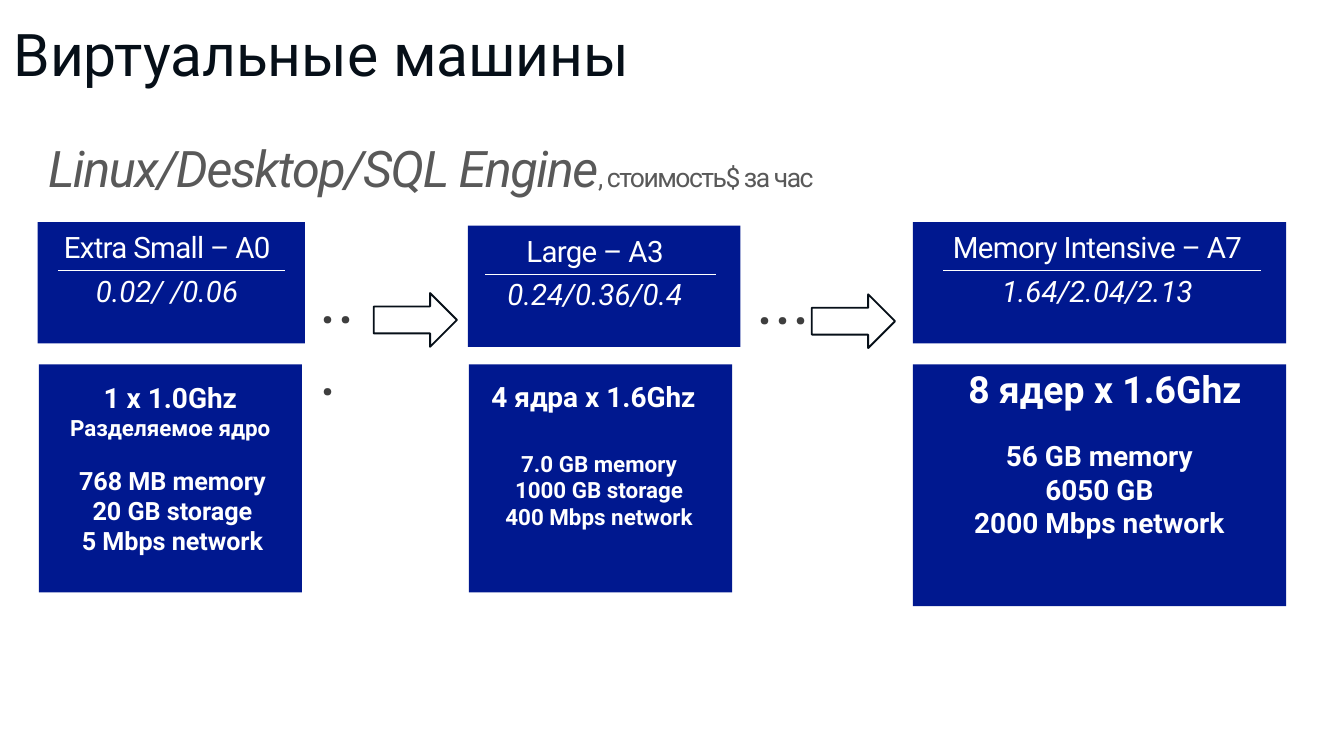
from lxml.etree import SubElement
from pptx import Presentation
from pptx.dml.color import RGBColor
from pptx.enum.shapes import MSO_CONNECTOR, MSO_SHAPE
from pptx.enum.text import MSO_ANCHOR, MSO_AUTO_SIZE, PP_ALIGN
from pptx.oxml.ns import qn
from pptx.util import Pt

FONT = "Roboto"
COLORS = {
    "title": "060F18",
    "card": "00188F",
    "white": "FFFFFF",
    "subtitle": "595959",
    "dots": "3E3E3E",
}


def color(key):
    return RGBColor.from_string(COLORS[key])


def write(frame, lines, ink="white", size=15, bold=False, italic=False, spacing=0,
          align=PP_ALIGN.CENTER, anchor=MSO_ANCHOR.MIDDLE, leading=None, insets=(0, 0, 0, 0)):
    frame.word_wrap = True
    frame.auto_size = MSO_AUTO_SIZE.NONE
    frame.vertical_anchor = anchor
    (frame.margin_left, frame.margin_top,
     frame.margin_right, frame.margin_bottom) = map(Pt, insets)
    for index, line in enumerate(lines):
        paragraph = frame.add_paragraph() if index else frame.paragraphs[0]
        paragraph.alignment = align
        paragraph.line_spacing = leading
        paragraph.space_before = Pt(0)
        for words, changes in [(line, {})] if isinstance(line, str) else line:
            run = paragraph.add_run()
            run.text = words
            run.font.name = FONT
            run.font.size = Pt(changes.get("size", size))
            run.font.bold = bold
            run.font.italic = changes.get("italic", italic)
            run.font.color.rgb = color(ink)
            if spacing:
                run.font._element.set("spc", str(round(spacing * 100)))


def add_text(slide, box, lines, **style):
    write(slide.shapes.add_textbox(*map(Pt, box)).text_frame, lines, **style)


def add_panel(slide, box):
    panel = slide.shapes.add_shape(MSO_SHAPE.ROUNDED_RECTANGLE, *map(Pt, box))
    panel.adjustments[0] = 0
    panel.shadow.inherit = False
    panel.fill.solid()
    panel.fill.fore_color.rgb = color("card")
    panel.line.fill.background()


def add_price_card(slide, box, name, price, center, rule):
    left, top, width, height = box
    text_left = center - width / 2
    add_panel(slide, box)
    add_text(slide, (text_left, top - 4.7, width, 32), [name], size=15.8, spacing=-0.4,
             leading=0.9, anchor=MSO_ANCHOR.TOP, insets=(0, 10.8, 0, 3.6))
    add_text(slide, (text_left, top + 21.5, width, 30), [price], size=15.8, italic=True)
    start, length = rule
    divider = slide.shapes.add_connector(
        MSO_CONNECTOR.STRAIGHT, Pt(start), Pt(top + 26), Pt(start + length), Pt(top + 26))
    divider.line.color.rgb = color("white")
    divider.line.width = Pt(0.5)
    SubElement(divider._element.spPr, qn("a:effectLst"))


def add_spec_card(slide, box, cores, specs):
    left, top, width, height = box
    add_panel(slide, box)
    for lines, size, center, middle in (cores, specs):
        add_text(slide, (center - width / 2, top + middle - 30, width, 60), lines,
                 size=size, bold=True)


def add_step(slide, box, dots_width, arrow_left):
    left, top, width, height = box
    add_text(slide, (left, top - 11, dots_width, 40), ["..."], ink="dots", size=36,
             align=PP_ALIGN.LEFT, anchor=MSO_ANCHOR.TOP, leading=0.9)
    arrow = slide.shapes.add_shape(
        MSO_SHAPE.RIGHT_ARROW, Pt(arrow_left), Pt(top + 4), Pt(44.6), Pt(height))
    arrow.shadow.inherit = False
    arrow.fill.solid()
    arrow.fill.fore_color.rgb = color("white")
    arrow.line.color.rgb = color("title")
    arrow.line.width = Pt(1)


def add_heading(slide, box):
    left, top, width, height = box
    title = slide.shapes.title
    title.left, title.top, title.width, title.height = map(Pt, (left, top, width, 44.6))
    write(title.text_frame, ["Виртуальные машины"], ink="title", size=31.5, leading=0.9,
          align=PP_ALIGN.LEFT, insets=(2.9, 3.6, 2.9, 3.6))
    subtitle = [("Linux/Desktop/SQL Engine", {}),
                (", стоимость$ за час", {"size": 14.2, "italic": False})]
    add_text(slide, (left + 16.5, top + 57.6, 470, 43.2), [subtitle], ink="subtitle", size=27,
             italic=True, spacing=-0.8, leading=0.9, align=PP_ALIGN.LEFT,
             anchor=MSO_ANCHOR.TOP, insets=(5, 10.8, 5, 2.9))


def main():
    presentation = Presentation()
    presentation.slide_width, presentation.slide_height = Pt(720), Pt(405)
    slide = presentation.slides.add_slide(presentation.slide_layouts[5])

    add_heading(slide, (4.3, 8.6, 658, 101))

    add_price_card(slide, (20.2, 119, 143.2, 65), "Extra Small – A0", "0.02/ /0.06",
                   89.6, (31, 121.7))
    add_price_card(slide, (250.6, 120.8, 146, 65), "Large – A3", "0.24/0.36/0.4",
                   318.8, (260, 123.8))
    add_price_card(slide, (489, 119, 200, 65), "Memory Intensive – A7", "1.64/2.04/2.13",
                   588, (505.4, 170))

    shared_core = [("Разделяемое ядро", {"size": 12})]
    add_spec_card(slide, (20.8, 195.2, 141, 122.2),
                  (["1 x 1.0Ghz", shared_core], 15, 91.3, 24.9),
                  (["768 MB memory", "20 GB storage", "5 Mbps network"], 13.5, 92.4, 78.2))
    add_spec_card(slide, (251.2, 195.2, 141, 122.2),
                  (["4 ядра x 1.6Ghz"], 15, 318, 16.9),
                  (["7.0 GB memory", "1000 GB storage", "400 Mbps network"], 12, 321, 67.3))
    add_spec_card(slide, (489, 195.2, 200, 129.6),
                  (["8 ядер x 1.6Ghz"], 20, 592, 13),
                  (["56 GB memory", "6050 GB", "2000 Mbps network"], 15, 589, 66.7))

    add_step(slide, (171.4, 153, 73.4, 28.8), 23.8, 200.2)
    add_step(slide, (405.4, 153.7, 74.1, 28.8), 31, 434.9)

    presentation.save("out.pptx")


if __name__ == "__main__":
    main()
